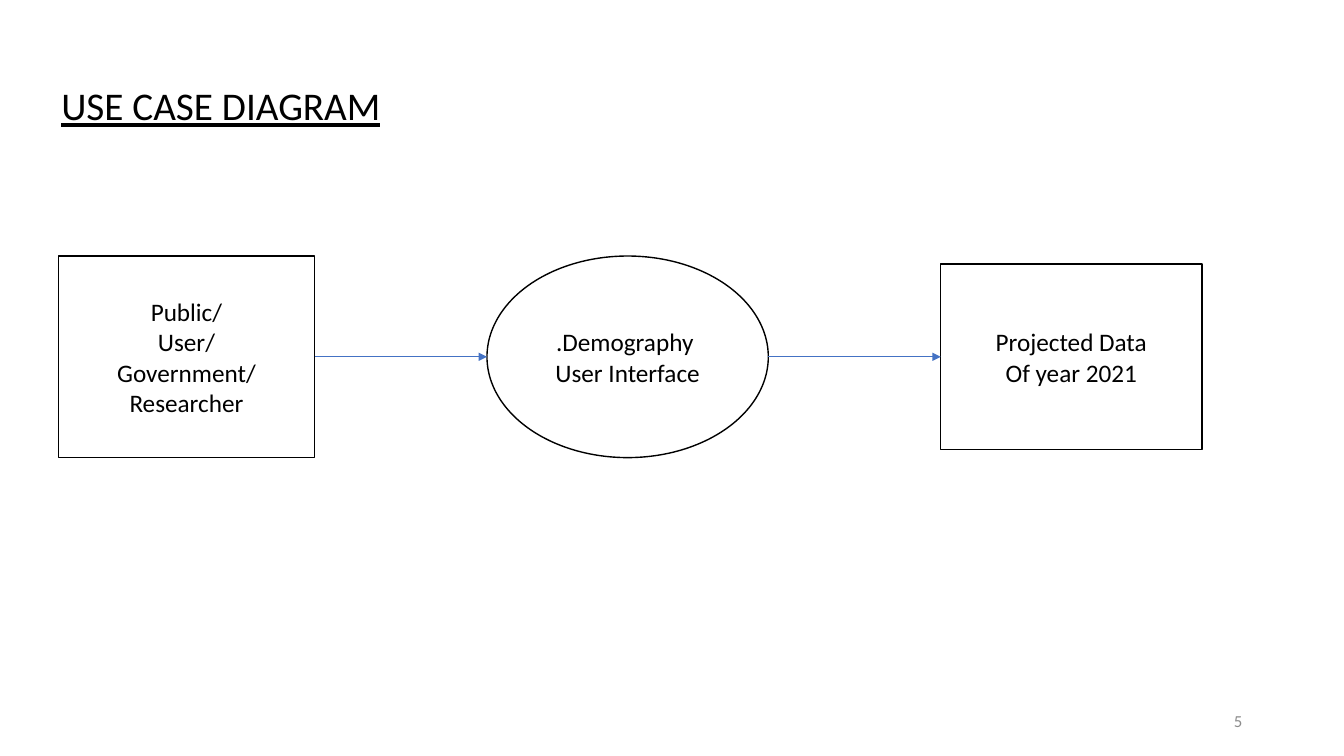
import pptx
import pptx.util
import pptx.dml.color
import pptx.enum.shapes
import pptx.enum.text
import pptx.oxml.ns
import lxml.etree

PX = 9144  # 100 px to the inch
FONT = "Calibri"
COLORS = {"paper": "FFFFFF", "ink": "000000", "arrow": "4472C4", "number": "8C8C8C"}
SHAPE = pptx.enum.shapes.MSO_SHAPE
ALIGN = pptx.enum.text.PP_ALIGN
ANCHOR = pptx.enum.text.MSO_ANCHOR


def px(*lengths):
    return [pptx.util.Emu(length * PX) for length in lengths]


def rgb(name):
    return pptx.dml.color.RGBColor.from_string(COLORS[name])


def write(frame, lines, size, color, align, anchor, underline=None):
    frame.word_wrap = True
    frame.vertical_anchor = anchor
    for i, line in enumerate(lines):
        paragraph = frame.add_paragraph() if i else frame.paragraphs[0]
        paragraph.alignment = align
        run = paragraph.add_run()
        run.text = line
        run.font.name = FONT
        run.font.size = pptx.util.Pt(size)
        run.font.underline = underline
        run.font.color.rgb = rgb(color)


def add_title(slide, box):
    title = slide.shapes.add_textbox(*px(*box))
    write(title.text_frame, ["USE CASE DIAGRAM"], 28, "ink", ALIGN.LEFT, ANCHOR.TOP, True)


def add_page_number(slide, box):
    number = slide.shapes.add_textbox(*px(*box))
    write(number.text_frame, ["5"], 12, "number", ALIGN.RIGHT, ANCHOR.MIDDLE)


def add_node(slide, outline, box, lines):
    node = slide.shapes.add_shape(outline, *px(*box))
    node.shadow.inherit = False
    node.fill.solid()
    node.fill.fore_color.rgb = rgb("paper")
    node.line.color.rgb = rgb("ink")
    node.line.width = pptx.util.Pt(1)
    write(node.text_frame, lines, 18, "ink", ALIGN.CENTER, ANCHOR.MIDDLE)
    return node


def add_arrow(slide, source, target):
    """Run an arrow from the right of source to the left of target."""
    arrow = slide.shapes.add_connector(
        pptx.enum.shapes.MSO_CONNECTOR.STRAIGHT,
        source.left + source.width, source.top + source.height // 2,
        target.left, target.top + target.height // 2)
    if source.auto_shape_type == SHAPE.RECTANGLE:
        arrow.begin_connect(source, 3)
    if target.auto_shape_type == SHAPE.RECTANGLE:
        arrow.end_connect(target, 1)
    arrow.line.color.rgb = rgb("arrow")
    arrow.line.width = pptx.util.Pt(0.5)
    qn = pptx.oxml.ns.qn
    lxml.etree.SubElement(arrow.line._get_or_add_ln(), qn("a:tailEnd"), type="triangle")
    lxml.etree.SubElement(arrow._element.spPr, qn("a:effectLst"))


def add_flow(slide, box):
    """Place the nodes on one middle line with equal gaps across the box."""
    left, top, width, height = box
    steps = [
        (SHAPE.RECTANGLE, 254, height, ["Public/", "User/", "Government/", "Researcher"]),
        (SHAPE.OVAL, 279, height, [".Demography ", "User Interface"]),
        (SHAPE.RECTANGLE, 259, height - 16, ["Projected Data", "Of year 2021"]),
    ]
    gap = (width - sum(step[1] for step in steps)) // (len(steps) - 1)
    nodes = []
    for outline, node_width, node_height, lines in steps:
        node_top = top + (height - node_height) // 2
        nodes.append(add_node(slide, outline, (left, node_top, node_width, node_height), lines))
        left += node_width + gap
    for source, target in zip(nodes, nodes[1:]):
        add_arrow(slide, source, target)


def main():
    deck = pptx.Presentation()
    deck.slide_width, deck.slide_height = px(1333, 750)
    slide = deck.slides.add_slide(deck.slide_layouts[6])
    slide.background.fill.solid()
    slide.background.fill.fore_color.rgb = rgb("paper")
    add_page_number(slide, (942, 695, 300, 40))
    add_title(slide, (51, 76, 724, 57))
    add_flow(slide, (58, 254, 1134, 200))
    deck.save("out.pptx")


if __name__ == "__main__":
    main()
